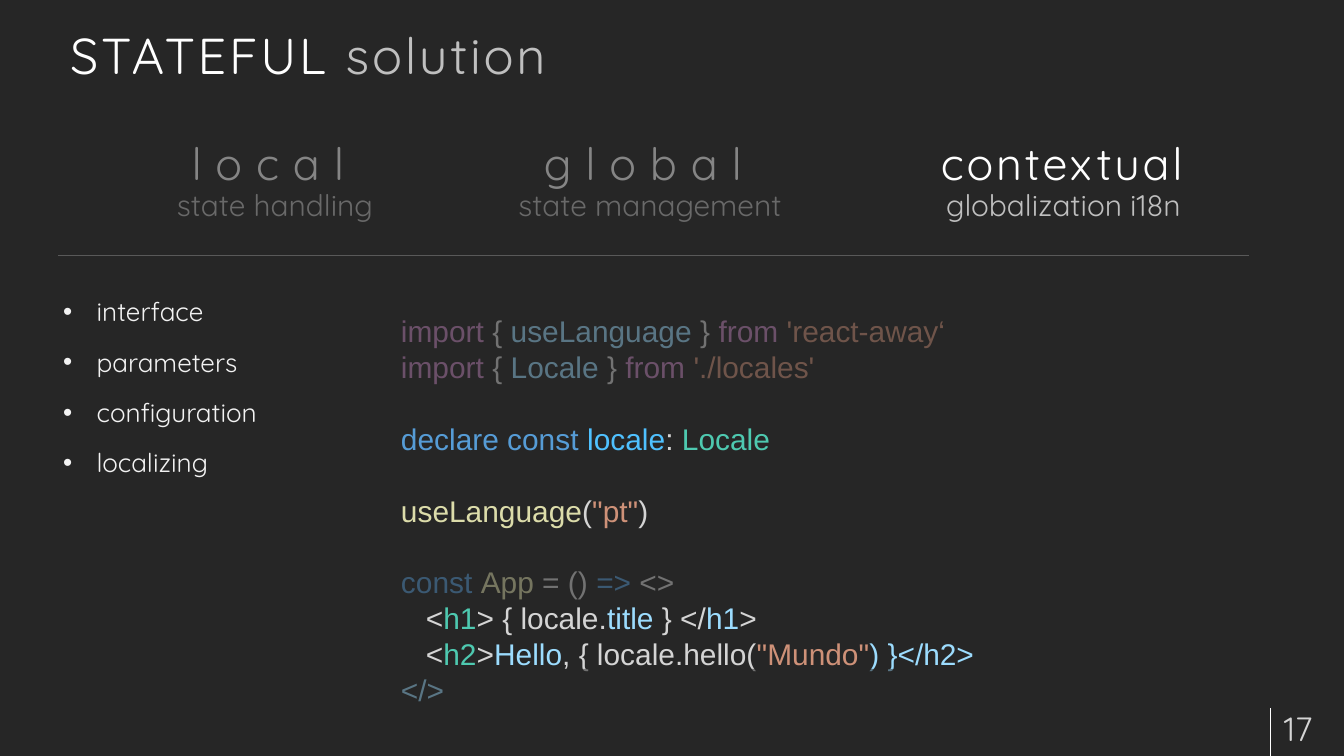
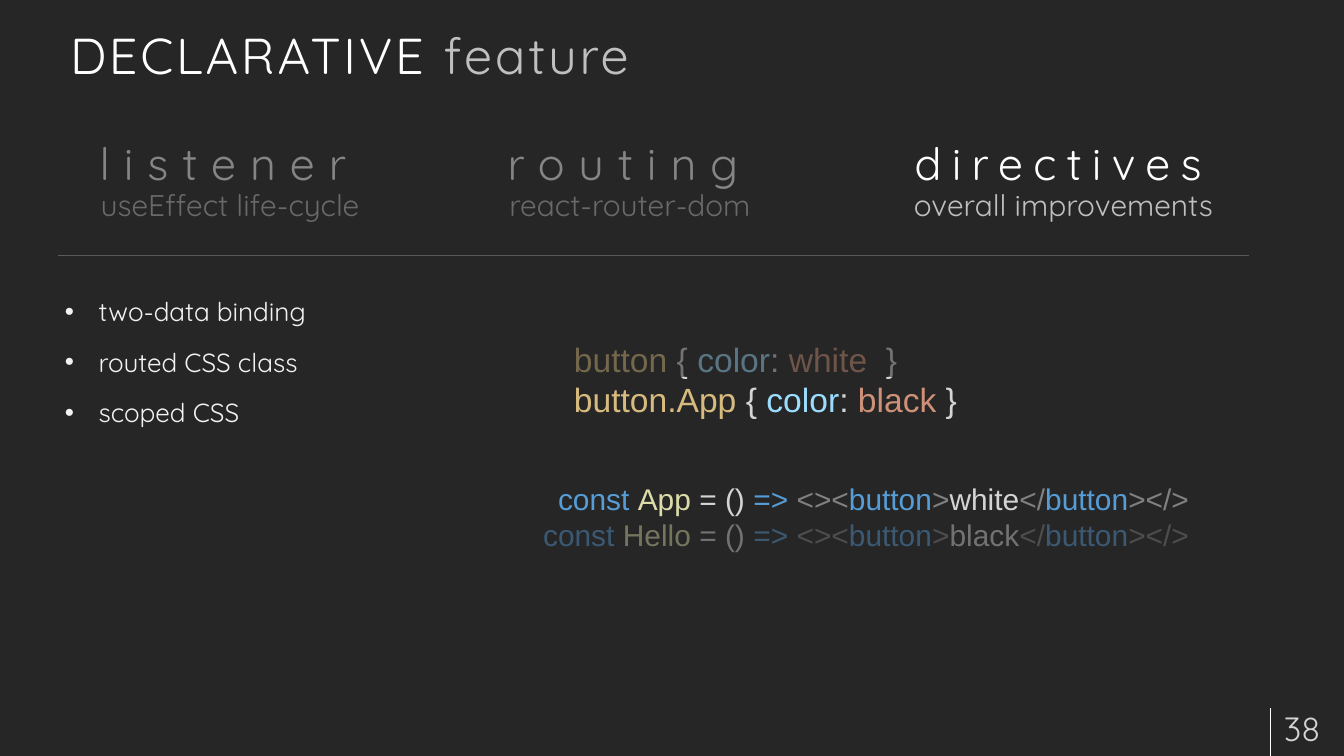
from lxml import etree
from pptx import Presentation, util as u
from pptx.dml.color import RGBColor
from pptx.enum import shapes, text
from pptx.oxml.ns import qn

PX = 914400 / 67.2
W, H = 1344, 756
SANS, CODE = "Quicksand", "Arial"
BG, WHITE, SILVER, PALE, RULE = "262626", "FFFFFF", "BFBFBF", "F2F2F2", "595959"
NUMBER = "D4D4D4"
LEFT, CENTER, RIGHT = text.PP_ALIGN.LEFT, text.PP_ALIGN.CENTER, text.PP_ALIGN.RIGHT

# Syntax colours of the code samples
PLAIN, WORD, NAME, FUNC = "D4D4D4", "569CD6", "9CDCFE", "DCDCAA"
STRING, TYPE, FLOW, CONST = "CE9178", "4EC9B0", "C586C0", "4FC1FF"
RULESET, TAG = "D7BA7D", "808080"


def px(*values):
    return [u.Emu(round(v * PX)) for v in values]


def color(value):
    return RGBColor.from_string(value)


def put(obj, formats):
    for name, value in formats.items():
        setattr(obj, name, value)


def add_run(p, words, size, fill, font=SANS, spacing=0):
    r = p.add_run()
    r.text = words
    put(r.font, {"size": u.Pt(size), "name": font})
    r.font.color.rgb = color(fill)
    if spacing:
        r.font._element.set("spc", str(spacing * 100))


def add_text(s, box, anchor=text.MSO_ANCHOR.TOP, inset=(7, 3)):
    tf = s.shapes.add_textbox(*px(*box)).text_frame
    side, edge = px(*inset)
    put(tf, {"word_wrap": True, "vertical_anchor": anchor, "margin_left": side,
             "margin_right": side, "margin_top": edge, "margin_bottom": edge})
    return tf


def paragraphs(tf, items):
    """Yield each item with its own paragraph."""
    for i, item in enumerate(items):
        yield i, item, tf.add_paragraph() if i else tf.paragraphs[0]


def add_line(s, x1, y1, x2, y2, fill):
    ln = s.shapes.add_connector(shapes.MSO_CONNECTOR.STRAIGHT, *px(x1, y1, x2, y2))
    ln.line.color.rgb = color(fill)
    ln.line.width = u.Pt(0.75)
    etree.SubElement(ln._element.spPr, qn("a:effectLst"))


def add_veil(s, box):
    """Dim what lies beneath with the background colour."""
    sp = s.shapes.add_shape(shapes.MSO_SHAPE.RECTANGLE, *px(*box))
    sp.shadow.inherit = False
    sp.line.fill.background()
    sp.fill.solid()
    sp.fill.fore_color.rgb = color(BG)
    clr = sp._element.spPr.find(".//" + qn("a:srgbClr"))
    etree.SubElement(clr, qn("a:alpha"), val="56000")


def add_title(s, box, strong, soft):
    tf = add_text(s, box, text.MSO_ANCHOR.BOTTOM, (12, 6))
    add_run(tf.paragraphs[0], strong + " ", 54, WHITE, spacing=3)
    add_run(tf.paragraphs[0], soft, 54, SILVER, spacing=3)


def add_page_number(s, box, number):
    x, y, w, h = box
    add_line(s, x - 2, y, x - 2, H, WHITE)
    tf = add_text(s, box, text.MSO_ANCHOR.MIDDLE, (12, 6))
    add_run(tf.paragraphs[0], str(number), 36, NUMBER)


def add_topics(s, box, topics):
    """Three topic headings above a rule."""
    left, top, width, height = box
    for x, w, name, spacing, caption in topics:
        p = add_text(s, (left + x, top, w, height)).paragraphs[0]
        put(p, {"alignment": CENTER, "line_spacing": 0.9})
        add_run(p, name, 48, WHITE, spacing=spacing)
        p.add_line_break()
        add_run(p, caption, 32, SILVER)
    add_line(s, left, top + 116, left + width, top + 116, RULE)


def add_bullets(s, box, items):
    for i, item, p in paragraphs(add_text(s, box), items):
        pPr = p._p.get_or_add_pPr()
        pPr.set("marL", str(u.Inches(0.5)))
        pPr.set("indent", str(-u.Inches(0.5)))
        etree.SubElement(pPr, qn("a:buFont"), typeface=CODE)
        etree.SubElement(pPr, qn("a:buChar"), char="•")
        put(p, {"line_spacing": 1.5, "space_before": u.Pt(3.5 if i else 0)})
        add_run(p, item, 28, PALE)


def add_code(s, box, lines, size=32, align=LEFT, gaps=()):
    """Coloured code; the lines numbered in gaps follow an empty line."""
    pitch = u.Pt(size * 1.2)
    for i, line, p in paragraphs(add_text(s, box), lines):
        put(p, {"alignment": align, "line_spacing": pitch,
                "space_before": pitch if i in gaps else 0})
        for fill, words in line:
            add_run(p, words, size, fill, CODE)


def import_line(name, source):
    return [(FLOW, "import"), (PLAIN, " { "), (NAME, name), (PLAIN, " } "),
            (FLOW, "from "), (STRING, source)]


def css_line(selector, value, end):
    return [(RULESET, selector), (PLAIN, " { "), (NAME, "color"), (PLAIN, ": "),
            (STRING, value), (PLAIN, end)]


def button_line(name, label):
    return [(WORD, "const "), (FUNC, name), (PLAIN, " = () "), (WORD, "=> "),
            (TAG, "<><"), (WORD, "button"), (TAG, ">"), (PLAIN, label),
            (TAG, "</"), (WORD, "button"), (TAG, "></>")]


HOOK_CODE = [
    import_line("useLanguage", "'react-away‘"),
    import_line("Locale", "'./locales'"),
    [(WORD, "declare const "), (CONST, "locale"), (PLAIN, ": "), (TYPE, "Locale")],
    [(FUNC, "useLanguage"), (PLAIN, "("), (STRING, '"pt"'), (PLAIN, ")")],
    [(WORD, "const "), (FUNC, "App"), (PLAIN, " = () "), (WORD, "=>"), (PLAIN, " <>")],
    [(PLAIN, "   <"), (TYPE, "h1"), (PLAIN, "> { locale."), (NAME, "title"),
     (PLAIN, " } </"), (NAME, "h1"), (PLAIN, ">")],
    [(PLAIN, "   <"), (TYPE, "h2"), (PLAIN, ">"), (NAME, "Hello"),
     (PLAIN, ", { locale.hello("), (STRING, '"Mundo"'), (NAME, ") }</h2>")],
    [(NAME, "</>")],
]
CSS_CODE = [css_line("button", "white ", " }"), css_line("button.App", "black ", "}")]
BUTTON_CODE = [button_line("App", "white"), button_line("Hello", "black")]

SLIDES = [
    {"title": ("STATEFUL", "solution"), "number": 17,
     "topics": [(80, 274, "local", 15, "state handling"),
                (445, 294, "global", 15, "state management"),
                (831, 349, "contextual", 3, "globalization i18n")],
     "bullets": ((56, 277, 319, 370),
                 ["interface", "parameters", "configuration", "localizing"]),
     "code": [{"box": (394, 310, 672, 405), "lines": HOOK_CODE, "gaps": (2, 3, 4)}],
     "veils": [(123, 122, 706, 122), (331, 275, 706, 122),
               (375, 546, 706, 53), (363, 669, 706, 47)]},
    {"title": ("DECLARATIVE", "feature"), "number": 38,
     "topics": [(25, 294, "listener", 15, "useEffect life-cycle"),
                (435, 274, "routing", 15, "react-router-dom"),
                (831, 349, "directives", 11, "overall improvements")],
     "bullets": ((58, 277, 356, 286),
                 ["two-data binding", "routed CSS class", "scoped CSS"]),
     "code": [{"box": (567, 336, 672, 88), "lines": CSS_CODE, "size": 36},
              {"box": (447, 478, 749, 79), "lines": BUTTON_CODE, "align": RIGHT}],
     "veils": [(34, 114, 777, 122), (548, 306, 444, 71), (458, 522, 751, 71)]},
]


def add_topic_slide(prs, data):
    s = prs.slides.add_slide(prs.slide_layouts[6])
    s.background.fill.solid()
    s.background.fill.fore_color.rgb = color(BG)
    add_title(s, (58, 0, 1210, 91), *data["title"])
    add_page_number(s, (1272, 708, 77, 40), data["number"])
    add_topics(s, (58, 139, 1191, 87), data["topics"])
    for code in data["code"]:
        add_code(s, **code)
    for box in data["veils"]:
        add_veil(s, box)
    add_bullets(s, *data["bullets"])


def main():
    prs = Presentation()
    prs.slide_width, prs.slide_height = px(W, H)
    for data in SLIDES:
        add_topic_slide(prs, data)
    prs.save("out.pptx")


if __name__ == "__main__":
    main()
